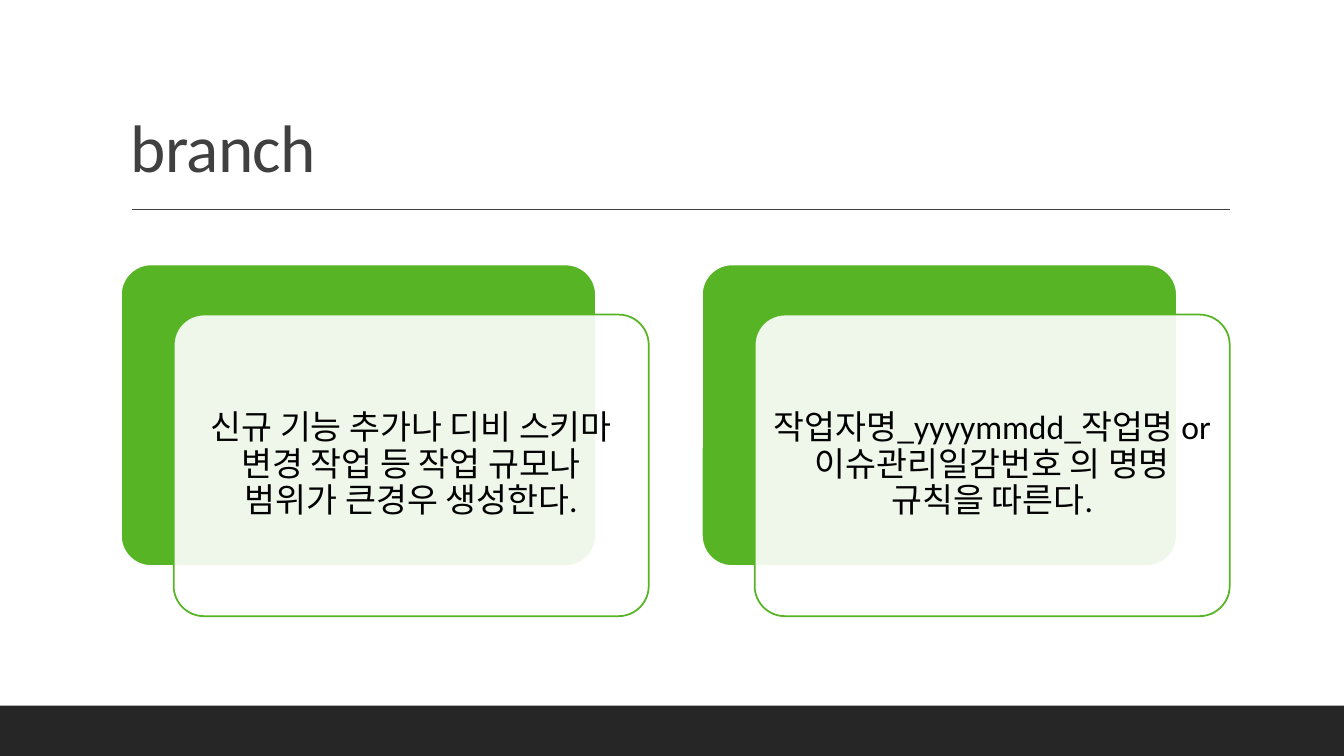
"""Build the slide on branch naming, with two layered cards."""
from dataclasses import dataclass

from lxml import etree
from pptx import Presentation
from pptx.dml.color import RGBColor
from pptx.enum.shapes import MSO_CONNECTOR, MSO_SHAPE
from pptx.enum.text import MSO_ANCHOR, PP_ALIGN
from pptx.oxml.ns import qn
from pptx.util import Pt

RECTANGLE = MSO_SHAPE.RECTANGLE
ROUNDED = MSO_SHAPE.ROUNDED_RECTANGLE
STRAIGHT = MSO_CONNECTOR.STRAIGHT
MIDDLE, BOTTOM = MSO_ANCHOR.MIDDLE, MSO_ANCHOR.BOTTOM
LEFT, CENTER = PP_ALIGN.LEFT, PP_ALIGN.CENTER

PAGE_WIDTH, PAGE_HEIGHT = 960, 540
FOOTER_HEIGHT = 36
CARD_LEFT, CARD_TOP, CARD_STEP = 86.4, 188.9, 415
CARD_WIDTH, CARD_HEIGHT = 339.3, 215.4
SHIFT_X, SHIFT_Y = 37.7, 35.8
TEXT_INSET = 6.3
WHITE, GREEN, DARK, GRAY, BLACK = "FFFFFF", "57B424", "262626", "404040", "000000"


@dataclass(frozen=True)
class Area:
    left: float
    top: float
    width: float
    height: float

    def lengths(self) -> tuple[Pt, Pt, Pt, Pt]:
        return Pt(self.left), Pt(self.top), Pt(self.width), Pt(self.height)

    def moved(self, right: float, down: float) -> "Area":
        return Area(self.left + right, self.top + down, self.width, self.height)

    def inset(self, margin: float) -> "Area":
        return Area(self.left + margin, self.top + margin,
                    self.width - 2 * margin, self.height - 2 * margin)


@dataclass(frozen=True)
class TextStyle:
    size: float
    color: str
    align: PP_ALIGN
    anchor: MSO_ANCHOR
    spacing: float = 0


TITLE_STYLE = TextStyle(48, GRAY, LEFT, BOTTOM, -0.5)
CARD_STYLE = TextStyle(24, BLACK, CENTER, MIDDLE)
CARD_TEXTS = [
    "신규 기능 추가나 디비 스키마 변경 작업 등 작업 규모나 범위가 큰경우 생성한다.",
    "작업자명_yyyymmdd_작업명 or 이슈관리일감번호 의 명명 규칙을 따른다.",
]


def paint(color_format, color: str) -> None:
    """Set a fill's or font's colour from a hex string."""
    color_format.rgb = RGBColor.from_string(color)


def add_block(page, kind: MSO_SHAPE, area: Area, fill: str,
              line: str | None = None, opacity: int = 100) -> None:
    """Add a filled shape with an optional outline."""
    shape = page.shapes.add_shape(kind, *area.lengths())
    shape.shadow.inherit = False
    shape.fill.solid()
    paint(shape.fill.fore_color, fill)
    if kind == ROUNDED:
        shape.adjustments[0] = 0.1
    if line:
        paint(shape.line.color, line)
        shape.line.width = Pt(1.25)
    else:
        shape.line.fill.background()
    if opacity < 100:
        color = shape._element.spPr.find(qn("a:solidFill"))[0]
        etree.SubElement(color, qn("a:alpha")).set("val", str(opacity * 1000))


def add_text(page, area: Area, text: str, style: TextStyle) -> None:
    """Add a one-paragraph text box."""
    box = page.shapes.add_textbox(*area.lengths())
    frame = box.text_frame
    frame.word_wrap = True
    frame.vertical_anchor = style.anchor
    frame.margin_left = frame.margin_right = Pt(7.2)
    frame.margin_top = frame.margin_bottom = Pt(7.2 if style.anchor == MIDDLE else 3.6)
    para = frame.paragraphs[0]
    para.text = text
    para.alignment = style.align
    para.line_spacing = 0.9
    para.font.name = "Calibri"
    para.font.size = Pt(style.size)
    paint(para.font.color, style.color)
    if style.spacing:
        defaults = para._p.pPr.find(qn("a:defRPr"))
        defaults.set("spc", str(round(style.spacing * 100)))


def add_rule(page, left: float, right: float, top: float) -> None:
    """Add the thin line under the title."""
    rule = page.shapes.add_connector(STRAIGHT, Pt(left), Pt(top), Pt(right), Pt(top))
    paint(rule.line.color, GRAY)
    rule.line.width = Pt(1)
    etree.SubElement(rule._element.spPr, qn("a:effectLst"))


def add_card(page, back: Area, text: str) -> None:
    """Add a green card with a translucent text card in front of it."""
    front = back.moved(SHIFT_X, SHIFT_Y)
    add_block(page, ROUNDED, back, GREEN, WHITE)
    add_block(page, ROUNDED, front, WHITE, GREEN, opacity=90)
    add_text(page, front.inset(TEXT_INSET), text, CARD_STYLE)


def main() -> None:
    """Build and save the deck."""
    deck = Presentation()
    deck.slide_width, deck.slide_height = Pt(PAGE_WIDTH), Pt(PAGE_HEIGHT)
    page = deck.slides.add_slide(deck.slide_layouts[6])
    page.background.fill.solid()
    paint(page.background.fill.fore_color, WHITE)

    add_text(page, Area(86.4, 22.6, 792, 114.2), "branch", TITLE_STYLE)
    add_rule(page, 94.3, 878.8, 149.5)
    footer = Area(0, PAGE_HEIGHT - FOOTER_HEIGHT, PAGE_WIDTH, FOOTER_HEIGHT)
    add_block(page, RECTANGLE, footer, DARK)

    first_card = Area(CARD_LEFT, CARD_TOP, CARD_WIDTH, CARD_HEIGHT)
    for index, text in enumerate(CARD_TEXTS):
        add_card(page, first_card.moved(index * CARD_STEP, 0), text)
    deck.save("out.pptx")


if __name__ == "__main__":
    main()
